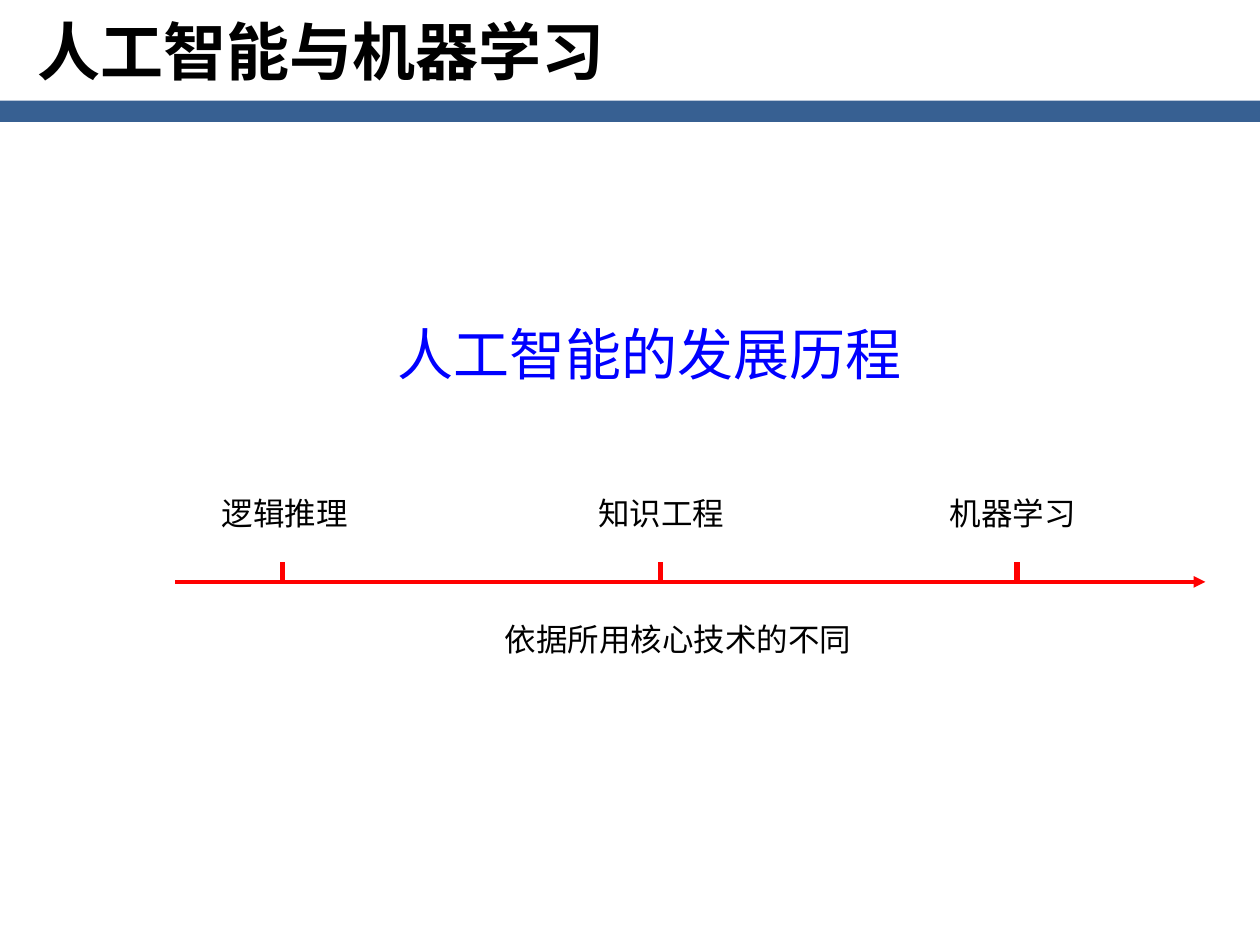
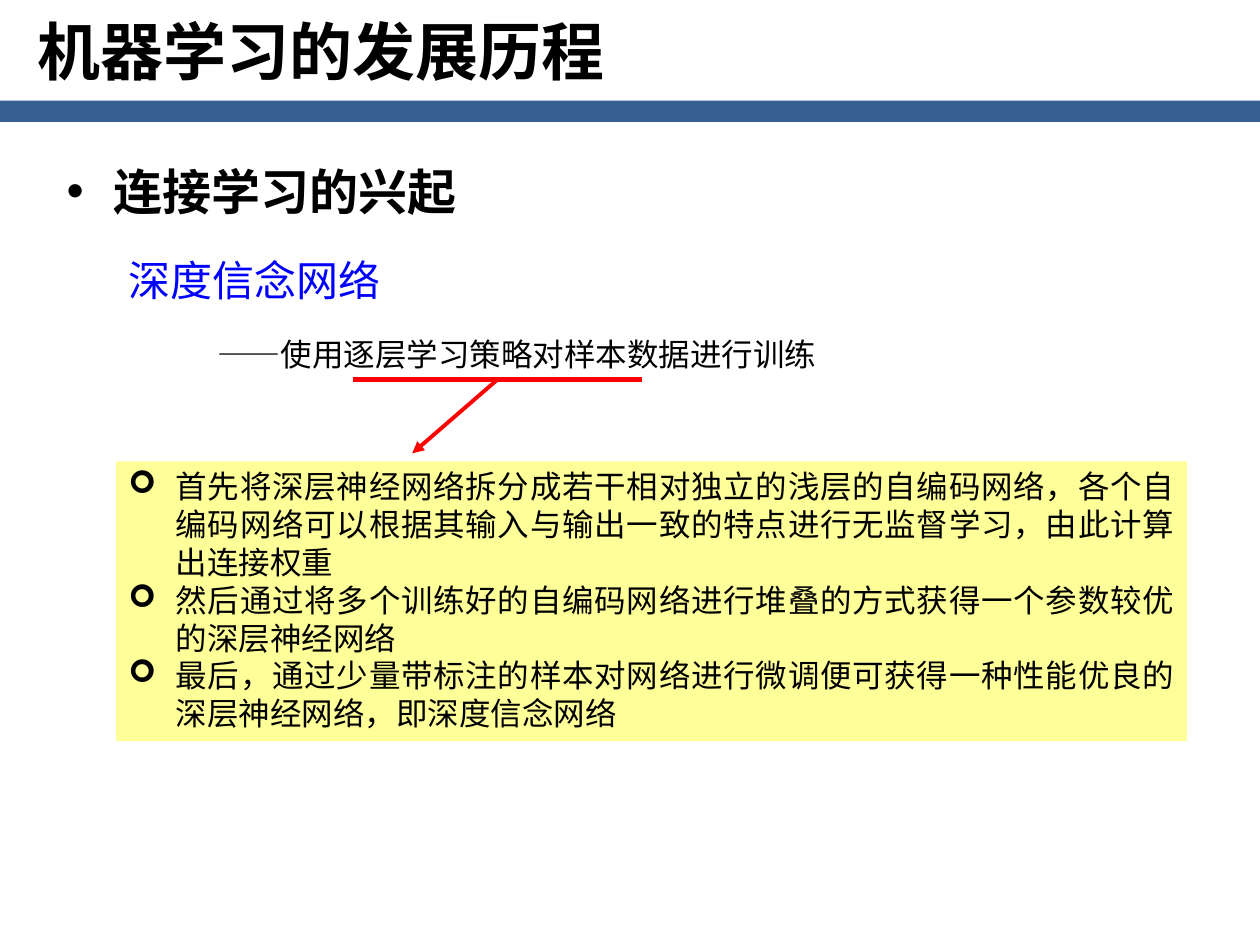
import pptx
import pptx.util
import pptx.dml.color
import pptx.enum.shapes
import pptx.enum.text
import pptx.oxml
import pptx.oxml.ns

Cm = pptx.util.Cm
Pt = pptx.util.Pt
ALIGN = pptx.enum.text.PP_ALIGN
FONT = "Noto Sans CJK SC"
COLORS = {"band": "376092", "text": "000000", "accent": "0000FF",
          "line": "FF0000", "panel": "FFFF99"}

TITLES = ["人工智能与机器学习", "机器学习的发展历程"]
TIMELINE = {"left": 3.53, "right": 24.3, "y": 11.73, "tick": 0.4}
STAGES = [("逻辑推理", 4.22, 5.69), ("知识工程", 11.81, 13.31), ("机器学习", 18.9, 20.5)]
STAGE_BOX = (9.83, 3.07, 1.02)
HISTORY_TEXTS = [
    ("人工智能的发展历程", (7.77, 6.32, 10.77, 1.63), "heading"),
    ("依据所用核心技术的不同", (9.93, 12.37, 7.57, 1.02), "plain"),
]
NETWORK_TOPIC = "连接学习的兴起"
NETWORK_TEXTS = [
    ("深度信念网络", (2.34, 5.0, 5.64, 1.27), "subheading"),
    ("——使用逐层学习策略对样本数据进行训练", (4.14, 6.63, 17.6, 1.02), "plain"),
]
TRAINING_STEPS = [
    "首先将深层神经网络拆分成若干相对独立的浅层的自编码网络，各个自编码网络可以根据其输入与输出一致的特点进行无监督学习，由此计算出连接权重",
    "然后通过将多个训练好的自编码网络进行堆叠的方式获得一个参数较优的深层神经网络",
    "最后，通过少量带标注的样本对网络进行微调便可获得一种性能优良的深层神经网络，即深度信念网络",
]
UNDERLINE = {"left": 7.11, "right": 12.95, "y": 7.65}
ARROW_TIP = (8.31, 9.14)

STYLES = {
    "title": {"size": Pt(36), "bold": True, "color": "text"},
    "topic": {"size": Pt(28), "bold": True, "color": "text"},
    "heading": {"size": Pt(32), "bold": False, "color": "accent"},
    "subheading": {"size": Pt(24), "bold": False, "color": "accent"},
    "plain": {"size": Pt(18), "bold": False, "color": "text"},
}


def rgb(name):
    return pptx.dml.color.RGBColor.from_string(COLORS[name])


def xml_element(tag, **attributes):
    element = pptx.oxml.parse_xml(f"<a:{tag} {pptx.oxml.ns.nsdecls('a')}/>")
    for name, value in attributes.items():
        element.set(name, value)
    return element


def place(shape, box):
    for name, value in zip(("left", "top", "width", "height"), box):
        setattr(shape, name, Cm(value))


def write(shape, texts, style, align=ALIGN.LEFT, wrap=True):
    frame = shape.text_frame
    frame_format = {"auto_size": pptx.enum.text.MSO_AUTO_SIZE.NONE, "word_wrap": wrap,
                    "vertical_anchor": pptx.enum.text.MSO_ANCHOR.TOP}
    for name, value in frame_format.items():
        setattr(frame, name, value)
    frame.text = "\n".join(texts)
    for paragraph in frame.paragraphs:
        paragraph.alignment = align
        font = paragraph.runs[0].font
        for name, value in {**STYLES[style], "name": FONT}.items():
            if name == "color":
                font.color.rgb = rgb(value)
            else:
                setattr(font, name, value)
        paragraph.runs[0]._r.get_or_add_rPr().append(xml_element("ea", typeface=FONT))


def add_text(slide, text, box, style):
    shape = slide.shapes.add_textbox(*map(Cm, box))
    write(shape, [text], style, wrap=style == "plain" and box[2] > 10)


def add_panel(slide, box, color):
    shape = slide.shapes.add_shape(pptx.enum.shapes.MSO_SHAPE.RECTANGLE, *map(Cm, box))
    shape.shadow.inherit = False
    shape.fill.solid()
    shape.fill.fore_color.rgb = rgb(color)
    shape.line.fill.background()
    return shape


def add_line(slide, start, end, width, arrow=False):
    connector = slide.shapes.add_connector(
        pptx.enum.shapes.MSO_CONNECTOR.STRAIGHT, *map(Cm, (*start, *end)))
    connector.line.color.rgb = rgb("line")
    connector.line.width = Pt(width)
    if arrow:
        connector.line._get_or_add_ln().append(xml_element("tailEnd", type="triangle"))
    connector._element.spPr.append(xml_element("effectLst"))


def add_slide(presentation, layout_index, title):
    slide = presentation.slides.add_slide(presentation.slide_layouts[layout_index])
    add_panel(slide, (0, 2.03, 25.4, 0.43), "band")
    place(slide.shapes.title, (0.51, 0.13, 21.59, 1.4))
    write(slide.shapes.title, [title], "title")
    return slide


def build_history(presentation):
    slide = add_slide(presentation, 5, TITLES[0])
    for text, box, style in HISTORY_TEXTS:
        add_text(slide, text, box, style)
    y = TIMELINE["y"]
    add_line(slide, (TIMELINE["left"], y), (TIMELINE["right"], y), 2.25, arrow=True)
    top, width, height = STAGE_BOX
    for name, left, tick in STAGES:
        add_text(slide, name, (left, top, width, height), "plain")
        add_line(slide, (tick, y - TIMELINE["tick"]), (tick, y), 3)


def build_network(presentation):
    slide = add_slide(presentation, 1, TITLES[1])
    body = slide.placeholders[1]
    place(body, (1.09, 3.12, 23.19, 14.6))
    write(body, [NETWORK_TOPIC], "topic")
    for text, box, style in NETWORK_TEXTS:
        add_text(slide, text, box, style)

    panel = add_panel(slide, (2.34, 9.3, 21.59, 5.64), "panel")
    write(panel, TRAINING_STEPS, "plain", ALIGN.JUSTIFY)
    for paragraph in panel.text_frame.paragraphs:
        properties = paragraph._p.get_or_add_pPr()
        properties.set("marL", str(Cm(0.95)))
        properties.set("indent", str(-Cm(0.95)))
        properties.append(xml_element("buFont", typeface="Wingdings"))
        properties.append(xml_element("buChar", char="➢"))

    left, right, y = UNDERLINE.values()
    add_line(slide, (left, y), (right, y), 3)
    add_line(slide, ((left + right) / 2, y), ARROW_TIP, 2.25, arrow=True)


def main():
    presentation = pptx.Presentation()
    presentation.slide_width = Cm(25.4)
    presentation.slide_height = Cm(19.05)
    build_history(presentation)
    build_network(presentation)
    presentation.save("out.pptx")


if __name__ == "__main__":
    main()
